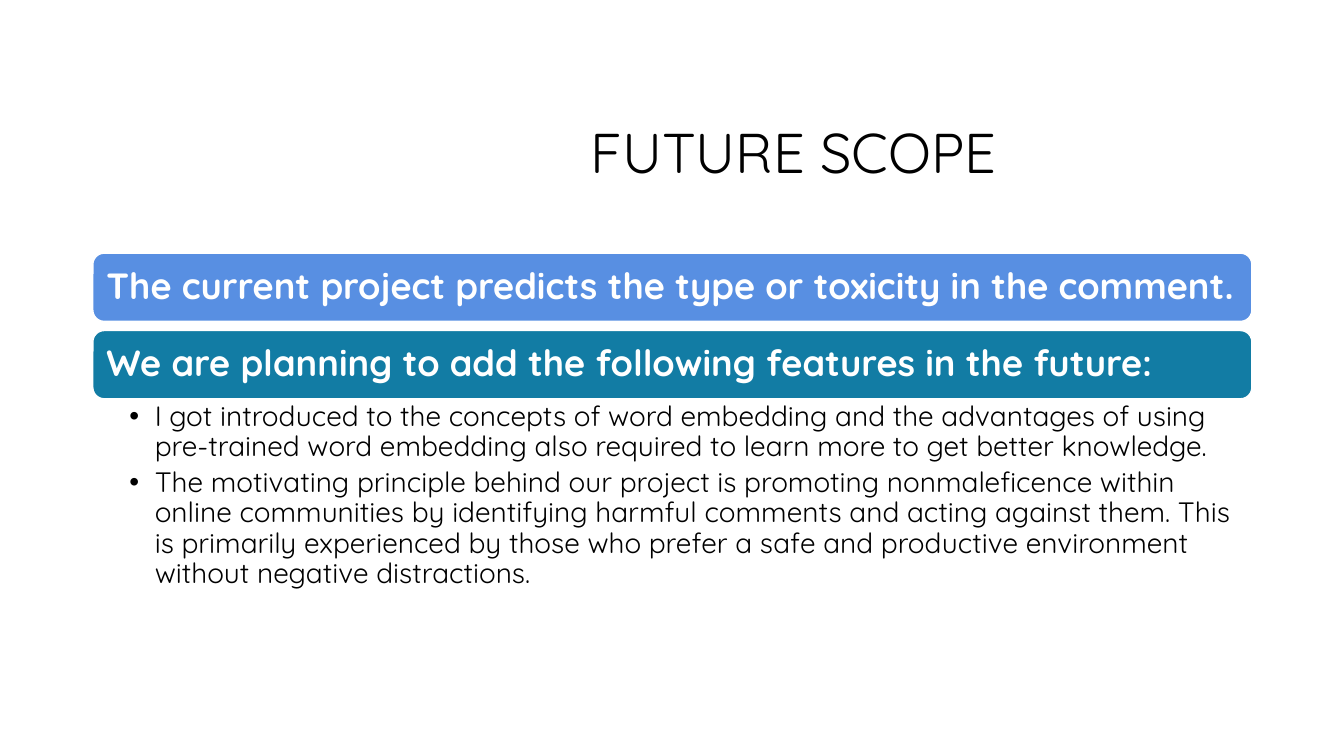
from lxml import etree
from pptx import Presentation
from pptx.dml.color import RGBColor
from pptx.enum.shapes import MSO_SHAPE
from pptx.enum.text import MSO_ANCHOR, MSO_AUTO_SIZE, PP_ALIGN
from pptx.oxml.ns import qn
from pptx.util import Cm, Pt

ROUNDED = MSO_SHAPE.ROUNDED_RECTANGLE
MIDDLE, TOP = MSO_ANCHOR.MIDDLE, MSO_ANCHOR.TOP
LEFT, CENTER = PP_ALIGN.LEFT, PP_ALIGN.CENTER
NO_AUTOFIT = MSO_AUTO_SIZE.NONE

FONT = "Quicksand"
COLORS = {"white": "FFFFFF", "black": "000000", "blue": "588FE2", "teal": "127CA4"}

CONTENT_LEFT, CONTENT_WIDTH = Cm(2.34), Cm(29.21)
BANNER_TOP, BANNER_HEIGHT, BANNER_STEP = Cm(6.38), Cm(1.72), Cm(1.95)
BULLET_INDENT = Cm(0.64)

BANNERS = [
    ("The current project predicts the type or toxicity in the comment.", "blue"),
    ("We are planning to add the following features in the future:", "teal"),
]
FEATURES = [
    "I got introduced to the concepts of word embedding and the advantages of using "
    "pre-trained word embedding also required to learn more to get better knowledge.",
    "The motivating principle behind our project is promoting nonmaleficence within "
    "online communities by identifying harmful comments and acting against them. "
    "This is primarily experienced by those who prefer a safe and productive "
    "environment without negative distractions.",
]


def color(name):
    return RGBColor.from_string(COLORS[name])


def place(shape, left, top, width, height):
    shape.left, shape.top, shape.width, shape.height = left, top, width, height


def format_frame(frame, anchor, left, right, vertical):
    frame.word_wrap = True
    frame.auto_size = NO_AUTOFIT
    frame.vertical_anchor = anchor
    frame.margin_left, frame.margin_right = left, right
    frame.margin_top = frame.margin_bottom = vertical


def write(paragraph, text, size, color_name, alignment=LEFT, bold=False, after=0):
    paragraph.alignment = alignment
    paragraph.line_spacing = 0.9
    paragraph.space_before = Pt(0)
    paragraph.space_after = Pt(after)
    run = paragraph.add_run()
    run.text = text
    run.font.name = FONT
    run.font.size = Pt(size)
    run.font.bold = bold
    run.font.color.rgb = color(color_name)


def add_bullet(paragraph):
    properties = paragraph._p.get_or_add_pPr()
    properties.set("marL", str(BULLET_INDENT))
    properties.set("indent", str(-BULLET_INDENT))
    etree.SubElement(properties, qn("a:buChar")).set("char", "•")


def fill_title(title, text):
    place(title, Cm(8.03), Cm(2.13), Cm(23.93), Cm(3.58))
    format_frame(title.text_frame, MIDDLE, Cm(0.25), Cm(0.25), Cm(0.13))
    write(title.text_frame.paragraphs[0], text, 40, "black", CENTER)


def add_banner(slide, top, text, fill):
    banner = slide.shapes.add_shape(
        ROUNDED, CONTENT_LEFT, top, CONTENT_WIDTH, BANNER_HEIGHT)
    banner.shadow.inherit = False
    banner.fill.solid()
    banner.fill.fore_color.rgb = color(fill)
    banner.line.color.rgb = color("white")
    banner.line.width = Pt(1)
    # The rounded corners already inset the text, so the margins stay small
    format_frame(banner.text_frame, MIDDLE, Cm(0.26), Cm(0.1), Cm(0.1))
    write(banner.text_frame.paragraphs[0], text, 26, "white", bold=True)


def fill_list(body, items):
    place(body, CONTENT_LEFT, Cm(10.04), CONTENT_WIDTH, Cm(5.84))
    frame = body.text_frame
    format_frame(frame, TOP, Cm(0.92), Cm(0.5), Cm(0.1))
    for index, item in enumerate(items):
        paragraph = frame.add_paragraph() if index else frame.paragraphs[0]
        write(paragraph, item, 20, "black", after=4)
        add_bullet(paragraph)


def main():
    presentation = Presentation()
    presentation.slide_width, presentation.slide_height = Cm(33.87), Cm(19.05)
    slide = presentation.slides.add_slide(presentation.slide_layouts[1])

    # Heading
    fill_title(slide.shapes.title, "FUTURE SCOPE")

    # Statement banners
    for index, (text, fill) in enumerate(BANNERS):
        add_banner(slide, BANNER_TOP + index * BANNER_STEP, text, fill)

    # Planned features
    fill_list(slide.placeholders[1], FEATURES)

    presentation.save("out.pptx")


if __name__ == "__main__":
    main()
